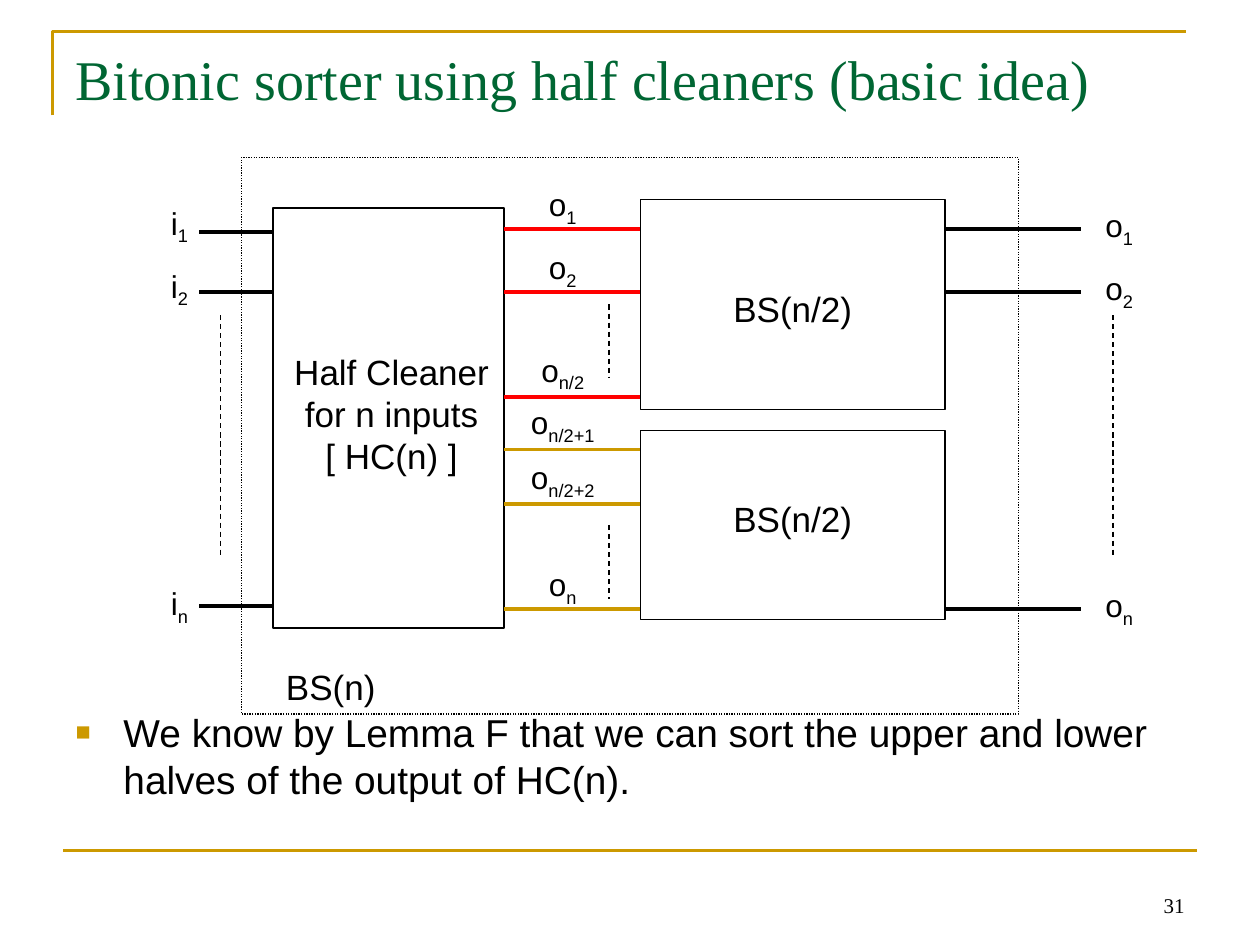
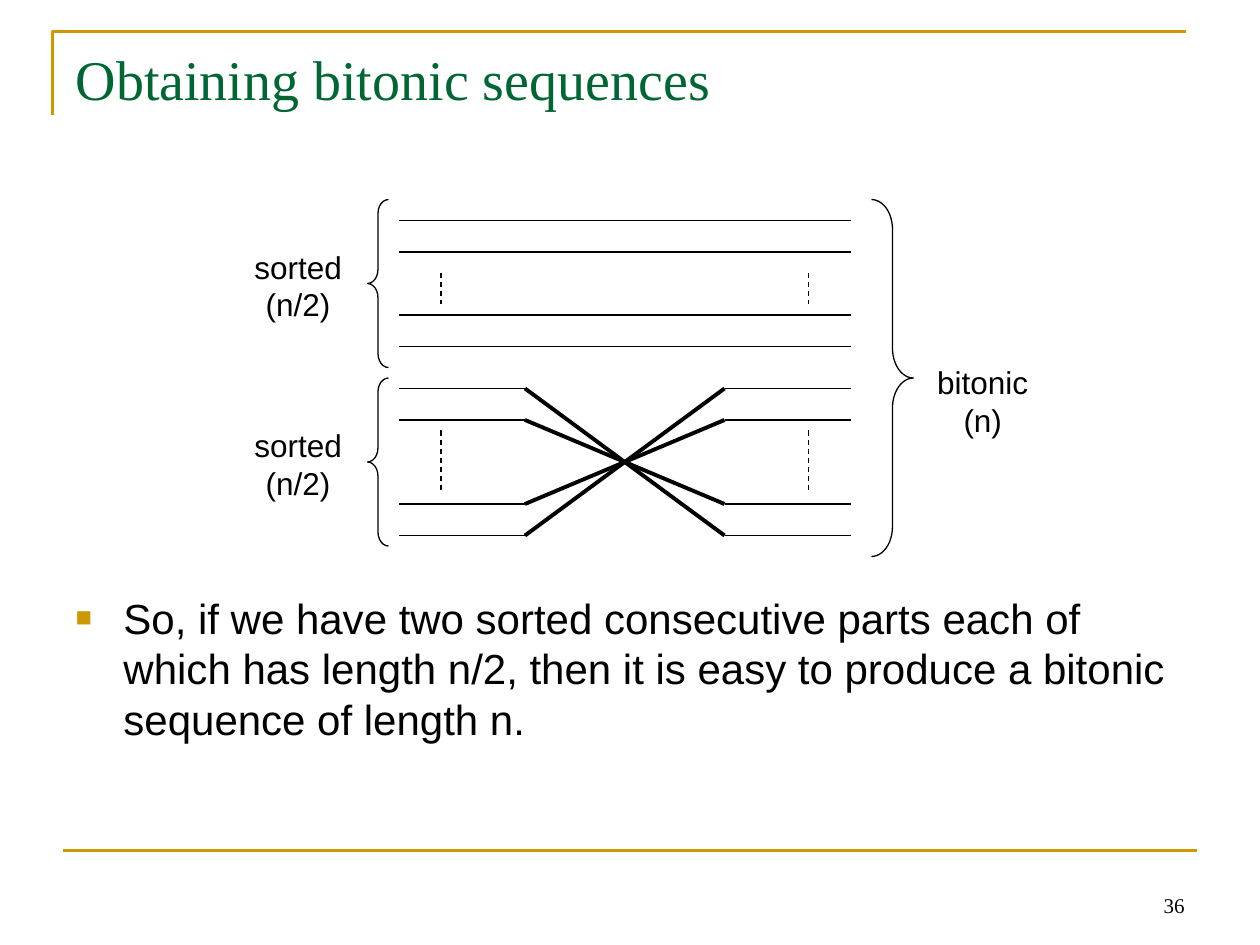
from dataclasses import dataclass
from typing import Optional

from lxml.etree import SubElement
from pptx import Presentation
from pptx.dml.color import RGBColor
from pptx.enum.dml import MSO_LINE
from pptx.enum.shapes import MSO_CONNECTOR, MSO_SHAPE
from pptx.enum.text import MSO_ANCHOR, MSO_AUTO_SIZE, PP_ALIGN
from pptx.oxml.ns import qn
from pptx.util import Inches, Pt

COLORS = {"ink": "000000", "gold": "CC9900", "green": "006633", "red": "FF0000"}
SANS, SERIF = "Arial", "Times New Roman"
COLUMNS, ROWS = 120, 90
WIDTH, HEIGHT = Inches(10), Inches(7.5)


@dataclass(frozen=True)
class Area:
    column: float
    row: float
    columns: float
    rows: float

    def lengths(self) -> tuple:
        return (across(self.column), down(self.row),
                across(self.columns), down(self.rows))


@dataclass(frozen=True)
class Wire:
    start: tuple
    end: tuple
    color: str = "ink"
    weight: float = 0.75
    dash: Optional[MSO_LINE] = None


@dataclass(frozen=True)
class Outline:
    area: Area
    kind: MSO_SHAPE = MSO_SHAPE.RECTANGLE
    dash: Optional[MSO_LINE] = None
    curl: Optional[float] = None


@dataclass(frozen=True)
class Caption:
    lines: tuple
    area: Area
    size: float = 20
    wrap: bool = True


@dataclass(frozen=True)
class Terminal:
    letter: str
    index: str
    center: float
    row: float
    columns: float = 5


@dataclass(frozen=True)
class Content:
    title: str
    statement: str
    statement_row: float
    statement_size: float
    number: int


def across(columns: float) -> int:
    return round(WIDTH * columns / COLUMNS)


def down(rows: float) -> int:
    return round(HEIGHT * rows / ROWS)


def rgb(name: str) -> RGBColor:
    return RGBColor.from_string(COLORS[name])


def style_runs(para, size: float, font: str = SANS, color: str = "ink") -> None:
    for span in para.runs:
        span.font.size = Pt(size)
        span.font.name = font
        span.font.color.rgb = rgb(color)


def style_line(line, color: str, weight: float, dash: Optional[MSO_LINE]) -> None:
    line.color.rgb = rgb(color)
    line.width = Pt(weight)
    if dash is not None:
        line.dash_style = dash


def draw_wire(page, wire: Wire) -> None:
    (x1, y1), (x2, y2) = wire.start, wire.end
    connector = page.shapes.add_connector(
        MSO_CONNECTOR.STRAIGHT, across(x1), down(y1), across(x2), down(y2))
    style_line(connector.line, wire.color, wire.weight, wire.dash)
    SubElement(connector._element.spPr, qn("a:effectLst"))


def draw_outline(page, outline: Outline) -> None:
    shape = page.shapes.add_shape(outline.kind, *outline.area.lengths())
    shape.shadow.inherit = False
    shape.fill.background()
    style_line(shape.line, "ink", 0.75, outline.dash)
    if outline.curl is not None:
        shape.adjustments[0] = outline.curl


def draw_caption(page, caption: Caption):
    box = page.shapes.add_textbox(*caption.area.lengths())
    frame = box.text_frame
    frame.word_wrap = caption.wrap
    frame.auto_size = MSO_AUTO_SIZE.SHAPE_TO_FIT_TEXT
    frame.text = "\n".join(caption.lines)
    for para in frame.paragraphs:
        para.alignment = PP_ALIGN.CENTER
        style_runs(para, caption.size)
    return box


def draw_terminal(page, terminal: Terminal) -> None:
    left = terminal.center - terminal.columns / 2
    box = draw_caption(page, Caption(
        (terminal.letter,), Area(left, terminal.row, terminal.columns, 5.3), 18, False))
    para = box.text_frame.paragraphs[0]
    subscript = para.add_run()
    subscript.text = terminal.index
    style_runs(para, 18)
    subscript._r.get_or_add_rPr().set("baseline", "-25000")


def draw_frame(page, number: int) -> None:
    builder = page.shapes.build_freeform(across(5), down(11))
    builder.add_line_segments(
        [(across(5), down(3)), (across(113), down(3))], close=False)
    corner = builder.convert_to_shape()
    corner.shadow.inherit = False
    corner.fill.background()
    style_line(corner.line, "gold", 1.5, None)
    draw_wire(page, Wire((6, 81), (114, 81), "gold", 1.5))

    box = page.shapes.add_textbox(*Area(86, 82, 28, 6).lengths())
    frame = box.text_frame
    frame.word_wrap = True
    frame.vertical_anchor = MSO_ANCHOR.BOTTOM
    frame.text = str(number)
    para = frame.paragraphs[0]
    para.alignment = PP_ALIGN.RIGHT
    style_runs(para, 12, SERIF)


def fill_placeholder(holder, area: Area, text: str):
    holder.left, holder.top, holder.width, holder.height = area.lengths()
    frame = holder.text_frame
    frame.text = text
    frame.word_wrap = True
    frame.auto_size = MSO_AUTO_SIZE.NONE
    frame.vertical_anchor = MSO_ANCHOR.TOP
    para = frame.paragraphs[0]
    para.alignment = PP_ALIGN.LEFT
    para.space_before = Pt(0)
    return para


def add_bullet(para) -> None:
    properties = para._p.get_or_add_pPr()
    properties.set("marL", str(Inches(0.38)))
    properties.set("indent", str(-Inches(0.38)))
    color = SubElement(properties, qn("a:buClr"))
    SubElement(color, qn("a:srgbClr"), val=COLORS["gold"])
    SubElement(properties, qn("a:buSzPct"), val="65000")
    SubElement(properties, qn("a:buFont"), typeface=SANS)
    SubElement(properties, qn("a:buChar"), char="■")


def add_page(deck, content: Content):
    page = deck.slides.add_slide(deck.slide_layouts[1])
    draw_frame(page, content.number)
    title = fill_placeholder(page.shapes.title, Area(6, 3.6, 108, 15), content.title)
    style_runs(title, 32, SERIF, "green")
    top = content.statement_row
    statement = fill_placeholder(
        page.placeholders[1], Area(6, top, 108, 80 - top), content.statement)
    add_bullet(statement)
    style_runs(statement, content.statement_size)
    return page


def build_sorter(deck) -> None:
    page = add_page(deck, Content(
        "Bitonic sorter using half cleaners (basic idea)",
        "We know by Lemma F that we can sort the upper and lower halves "
        "of the output of HC(n).", 66.9, 22.2, 31))

    for outline in (
        Outline(Area(23, 15, 74, 53), dash=MSO_LINE.ROUND_DOT),
        Outline(Area(26, 19.8, 22, 40)),
        Outline(Area(61, 19, 29, 20)),
        Outline(Area(61, 41, 29, 18)),
    ):
        draw_outline(page, outline)

    wire_groups = (
        (19, 26, "ink", (22.1, 27.8, 57.7)),
        (48, 61, "red", (21.8, 27.8, 37.8)),
        (48, 61, "gold", (42.8, 48, 58)),
        (90, 103, "ink", (21.8, 27.8, 58)),
    )
    for left, right, color, rows in wire_groups:
        for row in rows:
            draw_wire(page, Wire((left, row), (right, row), color, 2))

    for column, top, bottom in ((21, 30, 53), (58, 29, 36), (58, 50, 57), (106, 30, 53)):
        draw_wire(page, Wire((column, top), (column, bottom), dash=MSO_LINE.DASH))

    for index, input_row, output_row in (("1", 18.8, 19), ("2", 24.8, 25), ("n", 55, 55.2)):
        draw_terminal(page, Terminal("i", index, 17.1, input_row, 4))
        draw_terminal(page, Terminal("o", index, 106.6, output_row))
    for index, row, columns in (
        ("1", 17, 5), ("2", 23, 5), ("n/2", 32.8, 7),
        ("n/2+1", 37.8, 10), ("n/2+2", 43, 10), ("n", 53.2, 5),
    ):
        draw_terminal(page, Terminal("o", index, 53.6, row, columns))

    for caption in (
        Caption(("Half Cleaner", "for n inputs", "[ HC(n) ]"), Area(26.8, 32.8, 21, 13.2)),
        Caption(("BS(n/2)",), Area(65, 26.8, 21, 5.3)),
        Caption(("BS(n/2)",), Area(65, 46.8, 21, 5.3)),
        Caption(("BS(n)",), Area(21, 62.8, 21, 5.3)),
    ):
        draw_caption(page, caption)


def build_sequences(deck) -> None:
    page = add_page(deck, Content(
        "Obtaining bitonic sequences",
        "So, if we have two sorted consecutive parts each of which has length n/2, "
        "then it is easy to produce a bitonic sequence of length n.", 55.8, 24, 36))

    left, cross_left, cross_right, right = 38, 50, 69, 81
    straight_rows = (21, 24, 30, 33)
    crossed_rows = (37, 40, 48, 51)
    for row in straight_rows + crossed_rows:
        draw_wire(page, Wire((left, row), (cross_left, row)))
        draw_wire(page, Wire((cross_right, row), (right, row)))
    for row in straight_rows:
        draw_wire(page, Wire((cross_left, row), (cross_right, row)))
    for start, end in zip(crossed_rows, reversed(crossed_rows)):
        draw_wire(page, Wire((cross_left, start), (cross_right, end), weight=2.25))

    for column in (left + 4, right - 4):
        for top, bottom in ((26, 29), (41, 47)):
            draw_wire(page, Wire((column, top), (column, bottom), dash=MSO_LINE.DASH))

    for row in (19, 36):
        draw_outline(page, Outline(Area(35, row, 2, 16), MSO_SHAPE.LEFT_BRACE, curl=0.67))
        draw_caption(page, Caption(
            ("sorted", "(n/2)"), Area(22.4, row + 4, 12, 8.4), 18, False))
    draw_outline(page, Outline(Area(83, 19, 4, 34), MSO_SHAPE.RIGHT_BRACE, curl=0.71))
    draw_caption(page, Caption(("bitonic", "(n)"), Area(87.1, 34, 13, 8.4), 18, False))


def main() -> None:
    deck = Presentation()
    deck.slide_width, deck.slide_height = WIDTH, HEIGHT
    build_sorter(deck)
    build_sequences(deck)
    deck.save("out.pptx")


if __name__ == "__main__":
    main()
